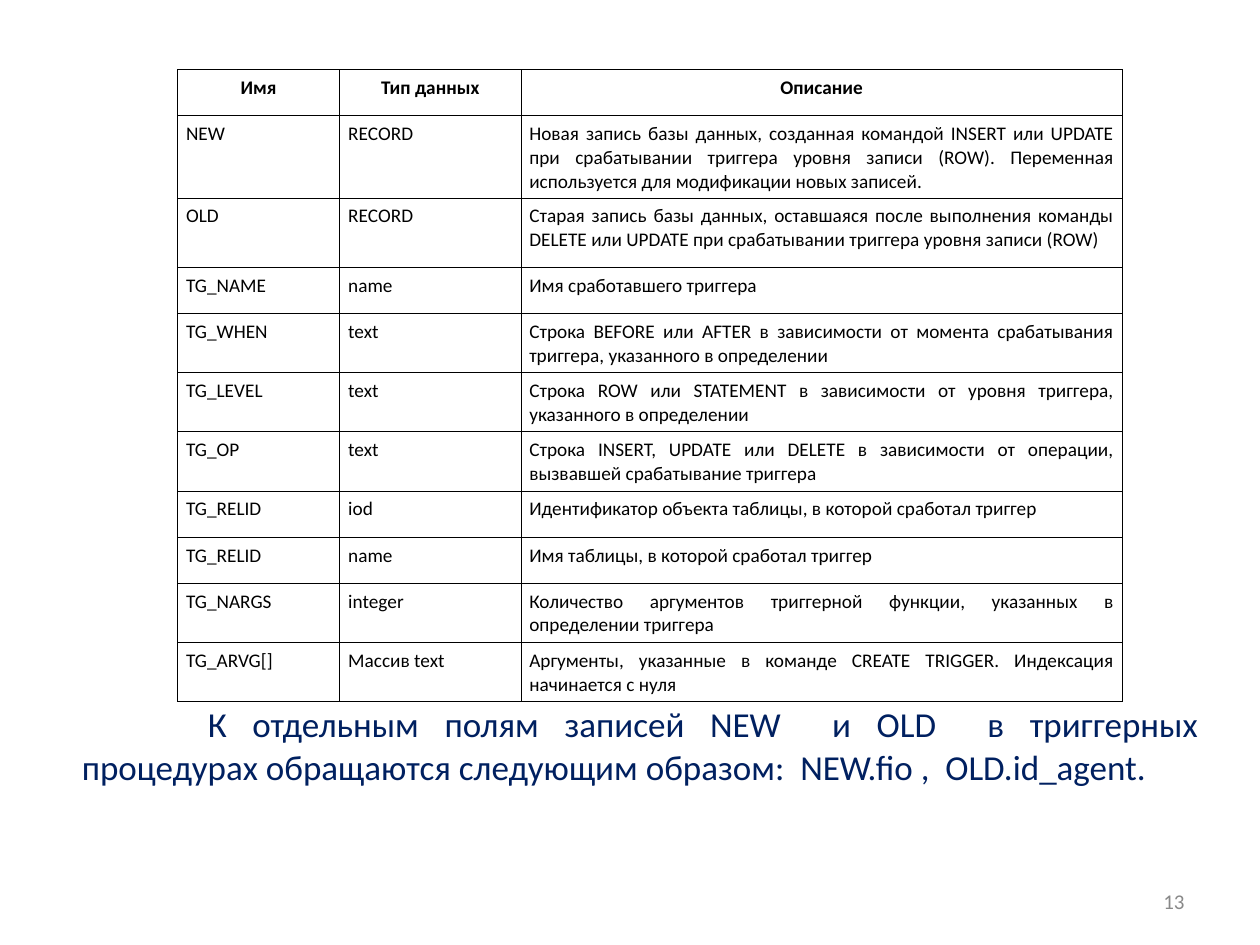
import pptx
import pptx.dml.color
import pptx.enum.text
import pptx.oxml
import pptx.oxml.ns
import pptx.util

Cm = pptx.util.Cm
Align = pptx.enum.text.PP_ALIGN
Anchor = pptx.enum.text.MSO_ANCHOR
BORDER_COLOR = "000000"
BORDER_WIDTH = pptx.util.Pt(0.45)


def color(hex_string):
    return pptx.dml.color.RGBColor.from_string(hex_string)


def format_font(font, size, hex_string, name="Calibri", bold=False):
    values = {"size": pptx.util.Pt(size), "name": name, "bold": bold}
    for attribute, value in values.items():
        setattr(font, attribute, value)
    font.color.rgb = color(hex_string)


presentation = pptx.Presentation()
presentation.slide_width = Cm(25.4)
presentation.slide_height = Cm(19.05)
slide = presentation.slides.add_slide(presentation.slide_layouts[6])

note_box = slide.shapes.add_textbox(Cm(1.4), Cm(13.89), Cm(23.01), Cm(2.13))
note_box.text_frame.word_wrap = True
note = note_box.text_frame.paragraphs[0]
note.alignment = Align.JUSTIFY
note._p.get_or_add_pPr().append(pptx.oxml.parse_xml(
    f'<a:tabLst {pptx.oxml.ns.nsdecls("a")}><a:tab pos="{Cm(2.54)}" algn="l"/></a:tabLst>'))
note_runs = [
    ("\t", 24, "DejaVu Sans Mono"),
    ("К отдельным полям записей NEW  и OLD  в триггерных процедурах "
     "обращаются следующим образом:  NEW.fio ,  OLD.id_agent.", 20, "Calibri"),
]
for text, size, name in note_runs:
    run = note.add_run()
    run.text = text
    format_font(run.font, size, "002060", name)

rows = [
    ("Имя", "Тип данных", "Описание"),
    ("NEW", "RECORD", "Новая запись базы данных, созданная командой INSERT или UPDATE "
     "при срабатывании триггера уровня записи (ROW). Переменная используется для "
     "модификации новых записей."),
    ("OLD", "RECORD", "Старая запись базы данных, оставшаяся после выполнения команды "
     "DELETE или UPDATE при срабатывании триггера уровня записи (ROW)"),
    ("TG_NAME", "name", "Имя сработавшего триггера"),
    ("TG_WHEN", "text", "Строка BEFORE или AFTER в зависимости от момента срабатывания "
     "триггера, указанного в определении"),
    ("TG_LEVEL", "text", "Строка ROW или STATEMENT в зависимости от уровня триггера, "
     "указанного в определении"),
    ("TG_OP", "text", "Строка INSERT, UPDATE или DELETE в зависимости от операции, "
     "вызвавшей срабатывание триггера"),
    ("TG_RELID", "iod", "Идентификатор объекта таблицы, в которой сработал триггер"),
    ("TG_RELID", "name", "Имя таблицы, в которой сработал триггер"),
    ("TG_NARGS", "integer", "Количество аргументов триггерной функции, указанных в "
     "определении триггера"),
    ("TG_ARVG[]", "Массив text", "Аргументы, указанные в команде CREATE TRIGGER. "
     "Индексация начинается с нуля"),
]
column_widths = [3.27, 3.65, 12.13]
table = slide.shapes.add_table(
    len(rows), len(column_widths), Cm(3.58), Cm(1.4), Cm(19.05), Cm(11.23)).table
table.first_row = False
table.horz_banding = False
for column, width in zip(table.columns, column_widths):
    column.width = Cm(width)

cell_format = {"margin_left": Cm(0.17), "margin_right": Cm(0.17),
               "margin_top": Cm(0.13), "margin_bottom": Cm(0.13),
               "vertical_anchor": Anchor.TOP}
for row_index, row in enumerate(rows):
    table.rows[row_index].height = Cm(1.4 if row_index in (1, 2) else 0.93)
    for column_index, text in enumerate(row):
        cell = table.cell(row_index, column_index)
        for attribute, value in cell_format.items():
            setattr(cell, attribute, value)
        cell_properties = cell._tc.get_or_add_tcPr()
        for side in ("lnL", "lnR", "lnT", "lnB"):
            cell_properties.append(pptx.oxml.parse_xml(
                f'<a:{side} {pptx.oxml.ns.nsdecls("a")} w="{BORDER_WIDTH}"><a:solidFill>'
                f'<a:srgbClr val="{BORDER_COLOR}"/></a:solidFill></a:{side}>'))
        cell.fill.background()
        paragraph = cell.text_frame.paragraphs[0]
        if row_index == 0:
            paragraph.alignment = Align.CENTER
        else:
            paragraph.alignment = Align.LEFT if column_index == 0 else Align.JUSTIFY
        run = paragraph.add_run()
        run.text = text
        format_font(run.font, 11, "000000", bold=row_index == 0)

number_box = slide.shapes.add_textbox(Cm(18.21), Cm(17.65), Cm(5.92), Cm(1.02))
number_box.text_frame.word_wrap = True
number_box.text_frame.vertical_anchor = Anchor.MIDDLE
number = number_box.text_frame.paragraphs[0]
number.alignment = Align.RIGHT
run = number.add_run()
run.text = "13"
format_font(run.font, 12, "898989")

presentation.save("out.pptx")
